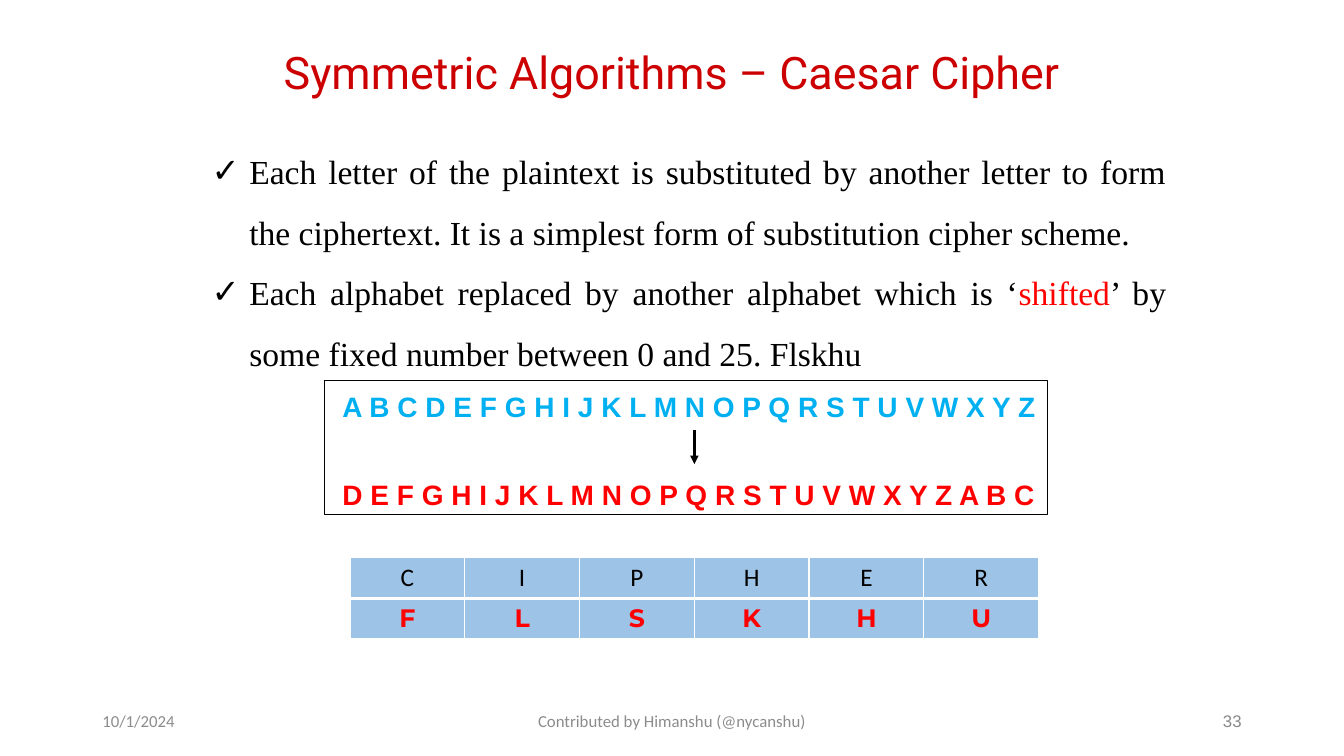
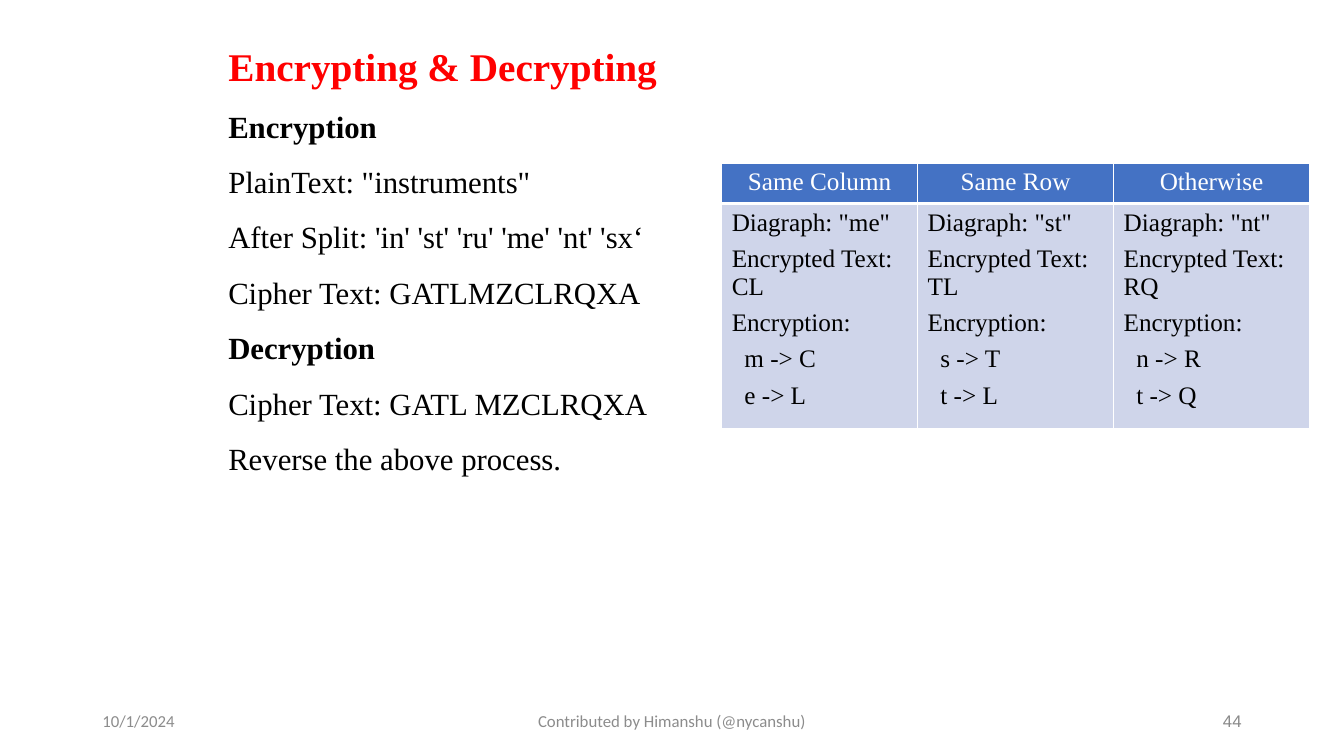
from dataclasses import dataclass

from lxml import etree
from pptx import Presentation
from pptx.dml.color import RGBColor
from pptx.enum.shapes import MSO_CONNECTOR, MSO_SHAPE
from pptx.enum.text import MSO_ANCHOR, MSO_AUTO_SIZE, PP_ALIGN
from pptx.oxml.ns import qn
from pptx.util import Pt

LEFT, CENTER, RIGHT, JUSTIFY = PP_ALIGN.LEFT, PP_ALIGN.CENTER, PP_ALIGN.RIGHT, PP_ALIGN.JUSTIFY
TOP, MIDDLE = MSO_ANCHOR.TOP, MSO_ANCHOR.MIDDLE
TITLE_ONLY = 5


@dataclass(frozen=True)
class Style:
    font: str
    size: float
    color: str
    bold: bool = False


class Theme:
    black, white, red = "000000", "FFFFFF", "FF0000"
    cell_blue, header_blue, cell_pale = "9DC3E6", "4472C4", "CFD5EA"
    caesar_title = Style("Roboto", 32, "CC0000")
    playfair_title = Style("Times New Roman", 28, red, True)
    bullet = Style("Times New Roman", 24, black)
    body = Style("Times New Roman", 22, black)
    heading = Style("Times New Roman", 22, black, True)
    plain_alphabet = Style("Arial", 20, "00B0F0", True)
    shifted_alphabet = Style("Arial", 20, red, True)
    plain_letter = Style("Calibri", 18, black)
    cipher_letter = Style("Montserrat", 18, red, True)
    table_header = Style("Times New Roman", 18, white)
    table_body = Style("Times New Roman", 18, black)
    footer = Style("Calibri", 12, "8C8C8C")
    page_number = Style("Arial", 12, "898989")


DATE = "10/1/2024"
CREDIT = "Contributed by Himanshu (@nycanshu)"

CAESAR_TITLE = "Symmetric Algorithms – Caesar Cipher"
# Each bullet is a list of (text, color) pieces; None keeps the paragraph's color.
CAESAR_BULLETS = [
    [("Each letter of the plaintext is substituted by another letter to form the "
      "ciphertext. It is a simplest form of substitution cipher scheme.", None)],
    [("Each alphabet replaced by another alphabet which is ‘", None),
     ("shifted", Theme.red),
     ("’ by some fixed number between 0 and 25. Flskhu", None)],
]
ALPHABET = "ABCDEFGHIJKLMNOPQRSTUVWXYZ"
SHIFT = 3
SHIFTED = ALPHABET[SHIFT:] + ALPHABET[:SHIFT]
WORD = "CIPHER"

PLAYFAIR_TITLE = "Encrypting & Decrypting"
PLAYFAIR_LINES = [
    ("Encryption", Theme.heading),
    ('PlainText: "instruments"', Theme.body),
    ("After Split: 'in' 'st' 'ru' 'me' 'nt' 'sx‘", Theme.body),
    ("Cipher Text: GATLMZCLRQXA", Theme.body),
    ("Decryption", Theme.heading),
    ("Cipher Text: GATL MZCLRQXA", Theme.body),
    ("Reverse the above process.", Theme.body),
]
PLAYFAIR_RULES = [("Same Column", "me", "CL"), ("Same Row", "st", "TL"), ("Otherwise", "nt", "RQ")]


def rgb(color):
    return RGBColor.from_string(color)


def add_xml(parent, tag, **attributes):
    return etree.SubElement(parent, qn(tag), attributes)


def apply_style(paragraph, style, align=LEFT):
    paragraph.alignment = align
    font = paragraph.font
    font.name, font.size, font.bold = style.font, Pt(style.size), style.bold
    font.color.rgb = rgb(style.color)


def next_paragraph(frame, index):
    return frame.add_paragraph() if index else frame.paragraphs[0]


def place(shape, left, top, width, height):
    shape.left, shape.top, shape.width, shape.height = map(Pt, (left, top, width, height))


def add_text_frame(slide, box, anchor=TOP, wrap=True):
    frame = slide.shapes.add_textbox(*map(Pt, box)).text_frame
    frame.word_wrap, frame.vertical_anchor = wrap, anchor
    return frame


def add_label(slide, text, box, style, align=LEFT, anchor=TOP, wrap=True):
    paragraph = add_text_frame(slide, box, anchor, wrap).paragraphs[0]
    paragraph.text = text
    apply_style(paragraph, style, align)


def add_slide(presentation, title, box, style, align, page):
    """Add a slide with its title and the shared footer."""
    slide = presentation.slides.add_slide(presentation.slide_layouts[TITLE_ONLY])
    place(slide.shapes.title, *box)
    frame = slide.shapes.title.text_frame
    frame.text = title
    frame.word_wrap, frame.vertical_anchor = True, MIDDLE
    frame.auto_size = MSO_AUTO_SIZE.NONE
    apply_style(frame.paragraphs[0], style, align)

    footers = [
        (DATE, 66, 216, Theme.footer, LEFT),
        (CREDIT, 318, 324, Theme.footer, CENTER),
        (page, 678, 216, Theme.page_number, RIGHT),
    ]
    for text, left, width, footer_style, footer_align in footers:
        add_label(slide, text, (left, 500.5, width, 28.75), footer_style, footer_align, MIDDLE)
    return slide


def set_bullet(paragraph, symbol, indent):
    """Call before apply_style, as the font must follow the bullet in the XML."""
    properties = paragraph._p.get_or_add_pPr()
    properties.set("marL", str(Pt(indent)))
    properties.set("indent", str(-Pt(indent)))
    add_xml(properties, "a:buFont", typeface="Arial")
    add_xml(properties, "a:buChar", char=symbol)


def set_borders(cell, bottom):
    """Draw white cell borders; call before the fill is set."""
    properties = cell._tc.get_or_add_tcPr()
    for side, width in (("L", 1), ("R", 1), ("T", 1), ("B", bottom)):
        line = add_xml(properties, f"a:ln{side}", w=str(Pt(width)))
        add_xml(add_xml(line, "a:solidFill"), "a:srgbClr", val=Theme.white)


def add_table(slide, box, row_heights, rows, fills):
    """Add a table; each cell is a list of (text, style, align, space before, indent)."""
    left, top, width = box
    columns = len(rows[0])
    table = slide.shapes.add_table(len(rows), columns, Pt(left), Pt(top), Pt(width),
                                   Pt(sum(row_heights))).table
    table.first_row = table.horz_banding = False
    for column in table.columns:
        column.width = Pt(width / columns)
    for row_index, (cells, height, fill) in enumerate(zip(rows, row_heights, fills)):
        table.rows[row_index].height = Pt(height)
        for column_index, lines in enumerate(cells):
            cell = table.cell(row_index, column_index)
            set_borders(cell, bottom=1 if row_index else 3)
            cell.fill.solid()
            cell.fill.fore_color.rgb = rgb(fill)
            for index, (text, style, align, space, indent) in enumerate(lines):
                paragraph = next_paragraph(cell.text_frame, index)
                paragraph.text = text
                paragraph.space_before = Pt(space)
                paragraph._p.get_or_add_pPr().set("marL", str(Pt(indent)))
                apply_style(paragraph, style, align)


def add_arrow(slide, x, top, bottom):
    arrow = slide.shapes.add_connector(MSO_CONNECTOR.STRAIGHT, Pt(x), Pt(top), Pt(x), Pt(bottom))
    arrow.line.color.rgb = rgb(Theme.black)
    arrow.line.width = Pt(2)
    add_xml(arrow.line._get_or_add_ln(), "a:tailEnd", type="triangle")
    add_xml(arrow._element.spPr, "a:effectLst")


def build_caesar_slide(presentation):
    slide = add_slide(presentation, CAESAR_TITLE, (174, 6, 612, 90),
                      Theme.caesar_title, CENTER, "33")

    frame = add_text_frame(slide, (144, 90, 696, 132))
    for index, pieces in enumerate(CAESAR_BULLETS):
        paragraph = next_paragraph(frame, index)
        paragraph.line_spacing = 1.5
        set_bullet(paragraph, "✓", 27)
        apply_style(paragraph, Theme.bullet, JUSTIFY)
        for text, color in pieces:
            run = paragraph.add_run()
            run.text = text
            if color:
                run.font.color.rgb = rgb(color)

    for letters, top, style in ((ALPHABET, 275, Theme.plain_alphabet),
                                (SHIFTED, 337.5, Theme.shifted_alphabet)):
        add_label(slide, " ".join(letters), (237.5, top, 511, 31.5), style, wrap=False)
    add_arrow(slide, 496, 307.5, 331.5)
    outline = slide.shapes.add_shape(MSO_SHAPE.RECTANGLE, Pt(232), Pt(271.5), Pt(516), Pt(96))
    outline.shadow.inherit = False
    outline.fill.background()
    outline.line.color.rgb = rgb(Theme.black)
    outline.line.width = Pt(0.5)

    encrypted = [SHIFTED[ALPHABET.index(letter)] for letter in WORD]
    rows = [[[(letter, style, CENTER, 0, 0)] for letter in word]
            for word, style in ((WORD, Theme.plain_letter), (encrypted, Theme.cipher_letter))]
    add_table(slide, (250, 398.5, 492), (29, 29), rows, (Theme.cell_blue, Theme.cell_blue))


def build_playfair_slide(presentation):
    slide = add_slide(presentation, PLAYFAIR_TITLE, (156, 21.5, 648, 56),
                      Theme.playfair_title, LEFT, "44")
    slide.shapes.title.text_frame.paragraphs[0].line_spacing = 0.9

    frame = add_text_frame(slide, (156, 60, 648, 416))
    for index, (text, style) in enumerate(PLAYFAIR_LINES):
        paragraph = next_paragraph(frame, index)
        paragraph.text = text
        paragraph.line_spacing = 1.5
        apply_style(paragraph, style)

    headers, details = [], []
    for header, pair, cipher in PLAYFAIR_RULES:
        headers.append([(header, Theme.table_header, CENTER, 6, 0)])
        lines = [(f'Diagraph: "{pair}"', 0), (f"Encrypted Text: {cipher}", 0), ("Encryption:", 0)]
        lines += [(f"{plain} -> {coded}", 9) for plain, coded in zip(pair, cipher)]
        details.append([(text, Theme.table_body, LEFT, 6, indent) for text, indent in lines])
    add_table(slide, (515.5, 116.5, 420), (21.6, 101.5), [headers, details],
              (Theme.header_blue, Theme.cell_pale))


def main():
    presentation = Presentation()
    presentation.slide_width, presentation.slide_height = Pt(960), Pt(540)
    build_caesar_slide(presentation)
    build_playfair_slide(presentation)
    presentation.save("out.pptx")


if __name__ == "__main__":
    main()
